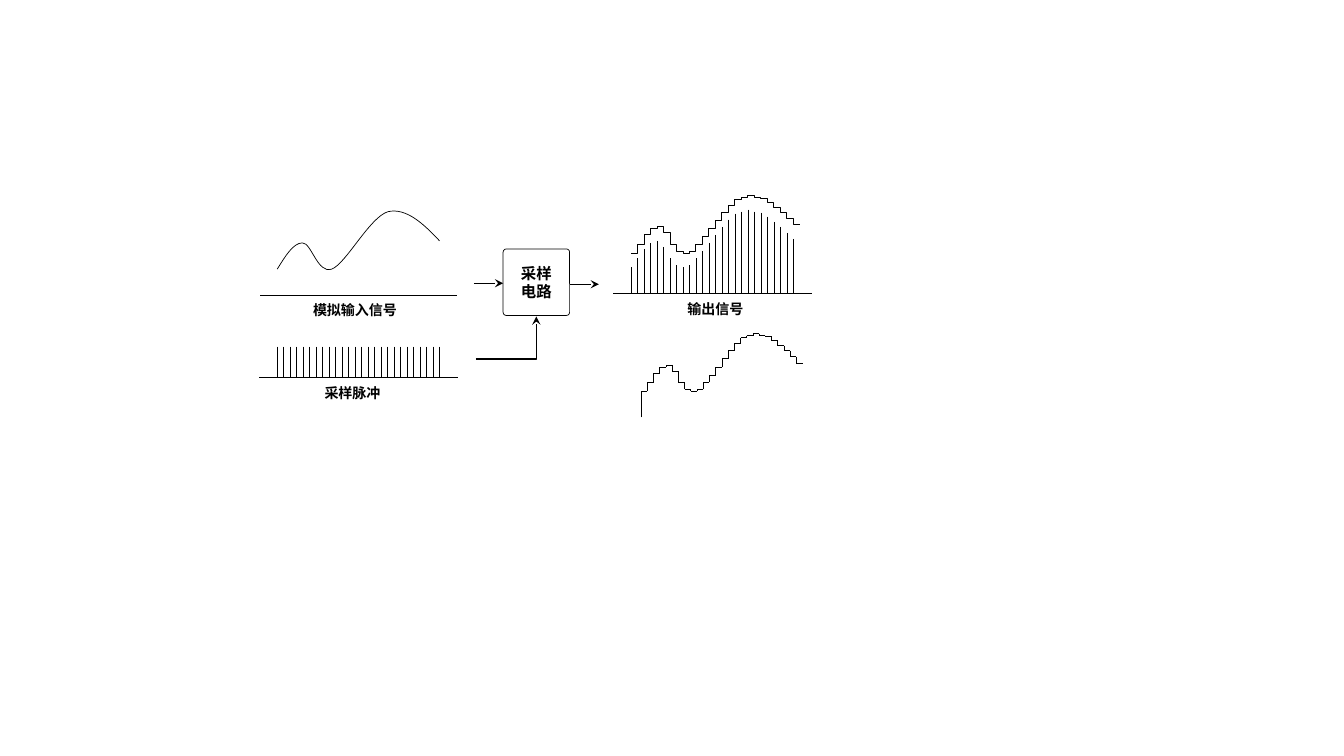
from dataclasses import dataclass

from lxml import etree
from pptx import Presentation
from pptx import util as u
from pptx.dml.color import RGBColor
from pptx.enum import shapes, text
from pptx.oxml.ns import qn


@dataclass(frozen=True)
class Theme:
    ink = RGBColor(0, 0, 0)
    paper = RGBColor(255, 255, 255)
    font = "DejaVu Sans Mono"
    box_size = u.Pt(11)
    label_size = u.Pt(10)
    thin = u.Pt(0.5)
    thick = u.Pt(1)


theme = Theme()


def add_line(parent, x1, y1, x2, y2, kind=shapes.MSO_CONNECTOR.STRAIGHT, arrow=False):
    c = parent.add_connector(kind, *map(u.Inches, (x1, y1, x2, y2)))
    c.line.color.rgb = theme.ink
    c.line.width = theme.thick if arrow else theme.thin
    if arrow:
        etree.SubElement(c.line._get_or_add_ln(), qn("a:tailEnd"), type="stealth")
    etree.SubElement(c._element.spPr, qn("a:effectLst"))
    return c


def set_text(sp, lines, size):
    """Centre bold lines in a shape, for Latin and East Asian letters alike."""
    tf = sp.text_frame
    tf.word_wrap = True
    tf.vertical_anchor = text.MSO_ANCHOR.MIDDLE
    tf.text = lines
    for p in tf.paragraphs:
        p.alignment = text.PP_ALIGN.CENTER
        p.font.size = size
        p.font.bold = True
        p.font.color.rgb = theme.ink
        p.font.name = theme.font
        defaults = p._p.pPr.find(qn("a:defRPr"))
        etree.SubElement(defaults, qn("a:ea"), typeface=theme.font)


prs = Presentation()
prs.slide_width, prs.slide_height = u.Inches(13.33), u.Inches(7.5)
s = prs.slides.add_slide(prs.slide_layouts[6])

# Height of the signal at each sampling pulse
sample_tops = [2.65, 2.56, 2.47, 2.41, 2.39, 2.45, 2.56, 2.63, 2.65,
               2.63, 2.56, 2.49, 2.41, 2.33, 2.25, 2.18, 2.12, 2.10,
               2.08, 2.10, 2.11, 2.15, 2.20, 2.25, 2.31, 2.37]
count = len(sample_tops)
pitch = 1.61 / (count - 1)

# Sampling pulses
pulses = s.shapes.add_group_shape().shapes
for i in range(count):
    x = 2.75 + i * pitch
    add_line(pulses, x, 3.44, x, 3.74)
add_line(s.shapes, 2.57, 3.74, 4.54, 3.74)

# Analog input: Bezier segments as two control points and an end point
start = (2.75, 2.67)
segments = [((2.83, 2.54), (2.91, 2.41), (3.00, 2.41)),
            ((3.09, 2.41), (3.15, 2.72), (3.29, 2.67)),
            ((3.43, 2.62), (3.67, 2.15), (3.85, 2.10)),
            ((4.03, 2.06), (4.20, 2.22), (4.36, 2.39))]
analog = s.shapes.add_group_shape().shapes
fb = analog.build_freeform(*map(u.Inches, start))
fb.add_line_segments([tuple(map(u.Inches, seg[-1])) for seg in segments], close=False)
curve = fb.convert_to_shape()
curve.shadow.inherit = False
curve.fill.background()
curve.line.color.rgb = theme.ink
curve.line.width = theme.thin
for straight, seg in zip(list(curve._element.iter(qn("a:lnTo"))), segments):
    bezier = etree.Element(qn("a:cubicBezTo"))
    for x, y in seg:
        etree.SubElement(bezier, qn("a:pt"), x=str(u.Inches(x) - curve.left),
                         y=str(u.Inches(y) - curve.top))
    straight.getparent().replace(straight, bezier)
add_line(analog, 2.58, 2.93, 4.53, 2.93)

# Sampled output
samples = s.shapes.add_group_shape().shapes
for i, top in enumerate(sample_tops):
    x = 6.26 + i * pitch
    add_line(samples, x, top, x, 2.91)
add_line(samples, 6.08, 2.91, 8.05, 2.91)

# Sampling circuit
box = s.shapes.add_shape(shapes.MSO_SHAPE.ROUNDED_RECTANGLE,
                         *map(u.Inches, (4.99, 2.47, 0.66, 0.66)))
box.adjustments[0] = 0.048
box.shadow.inherit = False
box.fill.solid()
box.fill.fore_color.rgb = theme.paper
box.line.color.rgb = theme.ink
box.line.width = theme.thin
set_text(box, "采样\n电路", theme.box_size)

# Labels
for label, x, y, width in [("模拟输入信号", 3.04, 2.95, 0.96),
                           ("采样脉冲", 3.14, 3.77, 0.71),
                           ("输出信号", 6.74, 2.94, 0.71)]:
    tb = s.shapes.add_textbox(*map(u.Inches, (x, y, width, 0.25)))
    tf = tb.text_frame
    tf.margin_left = tf.margin_right = tf.margin_top = tf.margin_bottom = 0
    set_text(tb, label, theme.label_size)

# Arrows into and out of the circuit
bend = add_line(s.shapes, 4.72, 3.56, 5.32, 3.14, shapes.MSO_CONNECTOR.ELBOW, arrow=True)
bend._element.spPr.find(qn("a:prstGeom")).set("prst", "bentConnector2")
add_line(s.shapes, 4.70, 2.81, 4.99, 2.81, arrow=True)
add_line(s.shapes, 5.65, 2.82, 5.94, 2.82, arrow=True)

# Lower staircase: a tread for each sample and a riser before it
stairs = s.shapes.add_group_shape().shapes
tread = 1.6 / count
levels = [top + 1.23 for top in sample_tops]
previous = 4.14
for i, level in enumerate(levels):
    x = 6.36 + i * tread
    add_line(stairs, x, previous, x, level)
    add_line(stairs, x, level, x + tread, level)
    previous = level

# Upper staircase as one outline
step = 1.67 / count
corners = [(u.Inches(6.26 + (i + side) * step), u.Inches(top - 0.14))
           for i, top in enumerate(sample_tops) for side in (0, 1)]
fb = s.shapes.build_freeform(*corners[0])
fb.add_line_segments(corners[1:], close=False)
outline = fb.convert_to_shape()
outline.shadow.inherit = False
outline.fill.background()
outline.line.color.rgb = theme.ink
outline.line.width = theme.thin

prs.save("out.pptx")
